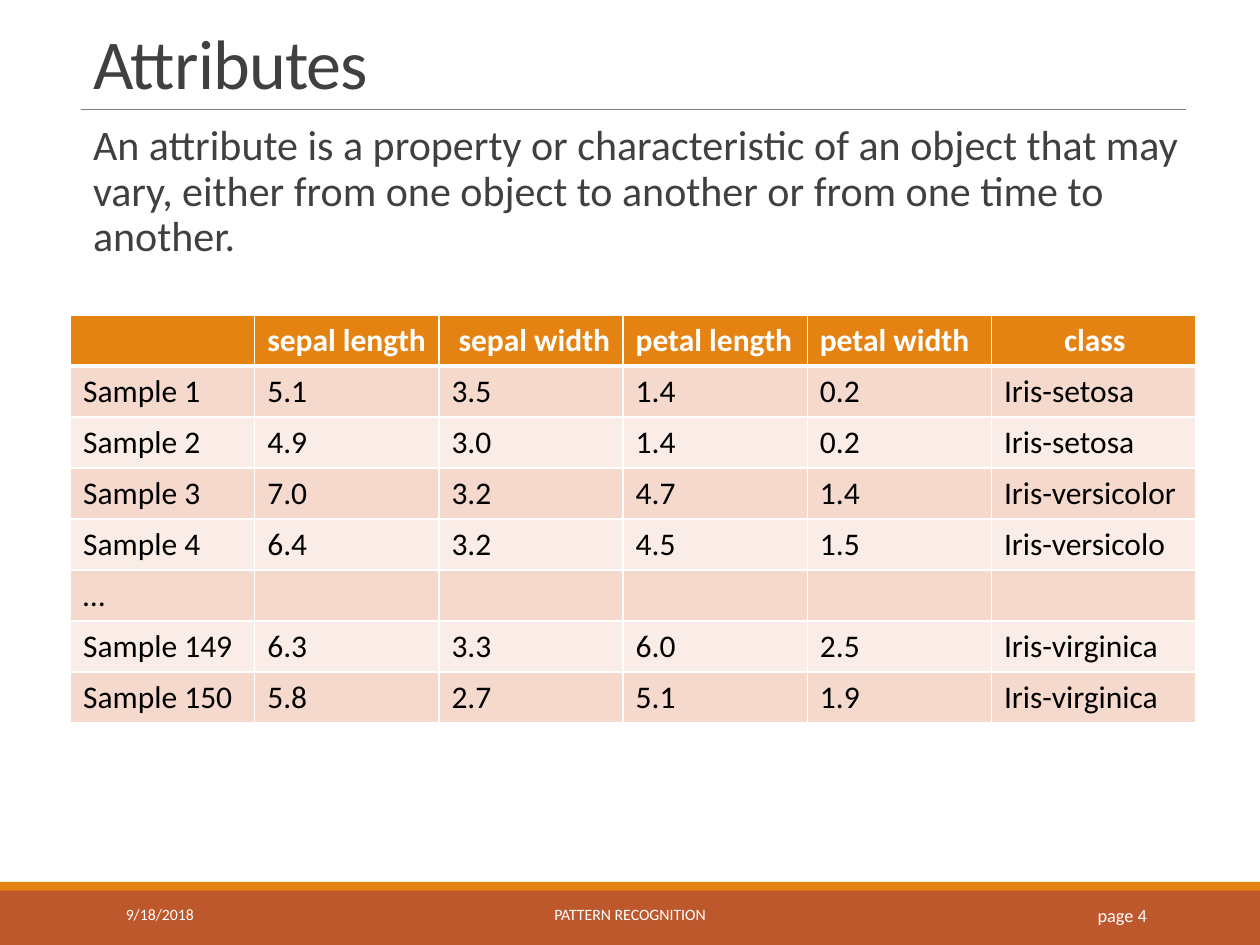
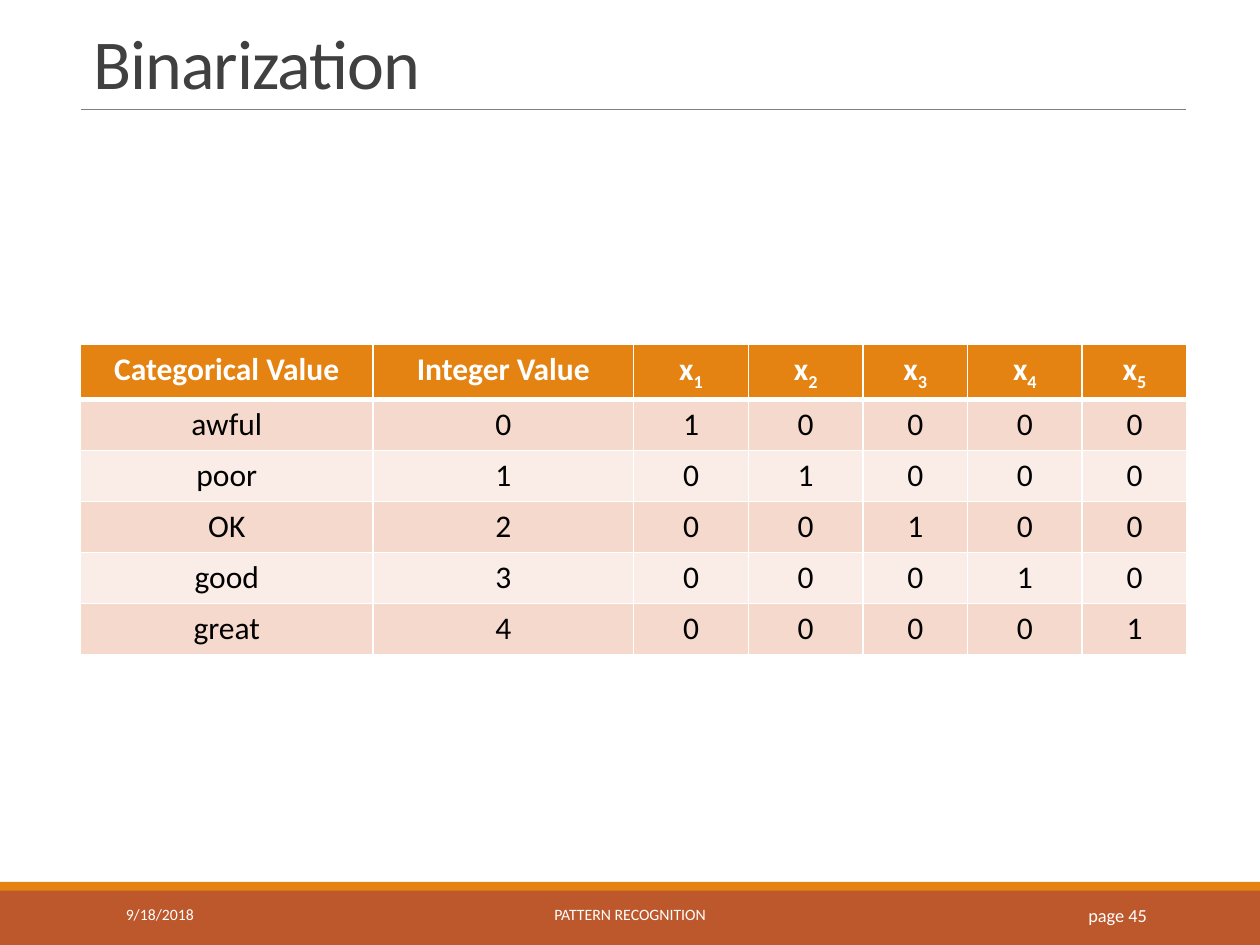
from dataclasses import dataclass

from lxml.etree import SubElement
from pptx import Presentation
from pptx.dml.color import RGBColor
from pptx.enum.shapes import MSO_CONNECTOR, MSO_SHAPE
from pptx.enum.text import MSO_ANCHOR as ANCHOR, PP_ALIGN as ALIGN
from pptx.oxml.ns import qn
from pptx.util import Inches, Pt

FONT = "Calibri"
COLORS = {
    "title": "404040", "rule": "808080", "band": "BD582C", "accent": "E48312",
    "odd_row": "F5D9CC", "even_row": "FAEDE7", "white": "FFFFFF", "black": "000000",
}
LEFT, WIDTH = 0.64, 8.77


@dataclass
class Box:
    left: float
    top: float
    width: float
    height: float

    def lengths(self):
        return [Inches(v) for v in (self.left, self.top, self.width, self.height)]


@dataclass
class Band:
    box: Box
    color: str


@dataclass
class FooterItem:
    box: Box
    text: str
    size: float
    align: ALIGN


@dataclass
class TableSpec:
    box: Box
    col_widths: list[float]
    rows: list[list[str]]
    aligns: dict[str, ALIGN]  # by cell text, for cells that differ
    align: ALIGN = ALIGN.LEFT
    right_inset: float = 0.1


BANDS = [
    Band(Box(0, 7.06, 10, 0.44), "band"),
    Band(Box(0, 7, 10, 0.07), "accent"),
]


def rgb(name: str) -> RGBColor:
    return RGBColor.from_string(COLORS[name])


def write(tf, text: str, *, size: float, color: str, bold: bool = False,
          align: ALIGN = ALIGN.LEFT, line_spacing: float = 1, before: float = 0,
          after: float = 0, tracking: float = 0) -> None:
    """Fill a text frame; what follows an underscore is set as a subscript."""
    p = tf.paragraphs[0]
    p.alignment, p.line_spacing = align, line_spacing
    p.space_before, p.space_after = Pt(before), Pt(after)
    for i, part in enumerate(text.split("_")):
        if not part:
            continue
        r = p.add_run()
        r.text = part
        r.font.name, r.font.size, r.font.bold = FONT, Pt(size), bold
        r.font.color.rgb = rgb(color)
        r_pr = r._r.get_or_add_rPr()
        if tracking:
            r_pr.set("spc", str(int(tracking * 100)))
        if i:
            r_pr.set("baseline", "-25000")


def add_text(slide, box: Box, text: str, *, anchor: ANCHOR = ANCHOR.TOP,
             side_insets: tuple[float, float] = (0.1, 0.1), **style) -> None:
    tf = slide.shapes.add_textbox(*box.lengths()).text_frame
    tf.word_wrap, tf.vertical_anchor = True, anchor
    tf.margin_left, tf.margin_right = (Inches(v) for v in side_insets)
    write(tf, text, **style)


def add_frame(prs, title: str, page: int):
    """Add a slide with the shared rule, bands, title and footer."""
    slide = prs.slides.add_slide(prs.slide_layouts[6])

    # Rule under the title
    rule = slide.shapes.add_connector(
        MSO_CONNECTOR.STRAIGHT, Inches(LEFT), Inches(0.87), Inches(LEFT + WIDTH), Inches(0.87))
    rule.line.color.rgb, rule.line.width = rgb("rule"), Pt(0.5)
    SubElement(rule._element.spPr, qn("a:effectLst"))

    # Bottom bands
    for band in BANDS:
        sp = slide.shapes.add_shape(MSO_SHAPE.RECTANGLE, *band.box.lengths())
        sp.shadow.inherit = False
        sp.fill.solid()
        sp.fill.fore_color.rgb = rgb(band.color)
        sp.line.fill.background()

    # Title and footer
    add_text(slide, Box(LEFT, 0.13, WIDTH, 0.74), title, anchor=ANCHOR.BOTTOM,
             size=40, color="title", line_spacing=0.85, tracking=-0.5)
    footer = [
        FooterItem(Box(0.9, 7.06, 2.03, 0.4), "9/18/2018", 9, ALIGN.LEFT),
        FooterItem(Box(3.02, 7.06, 3.96, 0.4), "PATTERN RECOGNITION", 9, ALIGN.CENTER),
        FooterItem(Box(8.12, 7.06, 1.08, 0.4), f"page {page}", 10.5, ALIGN.RIGHT),
    ]
    for item in footer:
        add_text(slide, item.box, item.text, anchor=ANCHOR.MIDDLE,
                 size=item.size, color="white", align=item.align)
    return slide


def set_borders(cell, top: float, bottom: float) -> None:
    tc_pr = cell._tc.get_or_add_tcPr()
    for side, width in {"L": 1, "R": 1, "T": top, "B": bottom}.items():
        ln = SubElement(tc_pr, qn(f"a:ln{side}"), w=str(Pt(width)))
        SubElement(SubElement(ln, qn("a:solidFill")), qn("a:srgbClr"), val=COLORS["white"])


def add_data_table(slide, spec: TableSpec) -> None:
    n_rows, n_cols = len(spec.rows), len(spec.col_widths)
    # Rows share the height of the box equally
    table = slide.shapes.add_table(n_rows, n_cols, *spec.box.lengths()).table
    for col, width in zip(table.columns, spec.col_widths):
        col.width = Inches(width)
    for i, row in enumerate(spec.rows):
        header = i == 0
        fill = "accent" if header else "odd_row" if i % 2 else "even_row"
        for j, text in enumerate(row):
            cell = table.cell(i, j)
            set_borders(cell, top=3 if i == 1 else 1, bottom=3 if header else 1)
            cell.fill.solid()
            cell.fill.fore_color.rgb = rgb(fill)
            cell.margin_right = Inches(spec.right_inset)
            write(cell.text_frame, text, size=18, bold=header,
                  color="white" if header else "black",
                  align=spec.aligns.get(text, spec.align))


def build_attributes(prs) -> None:
    slide = add_frame(prs, "Attributes", 4)
    add_text(slide, Box(LEFT, 0.94, WIDTH, 5.95),
             "An attribute is a property or characteristic of an object that may vary, "
             "either from one object to another or from one time to another.",
             side_insets=(0.1, 0), size=24, color="title",
             line_spacing=0.9, before=12, after=2)
    rows = [
        ["", "sepal length", " sepal width", "petal length", "petal width", "class"],
        ["Sample 1", "5.1", "3.5", "1.4", "0.2", "Iris-setosa"],
        ["Sample 2", "4.9", "3.0", "1.4", "0.2", "Iris-setosa"],
        ["Sample 3", "7.0", "3.2", "4.7", "1.4", "Iris-versicolor"],
        ["Sample 4", "6.4", "3.2", "4.5", "1.5", "Iris-versicolo"],
        ["…", "", "", "", "", ""],
        ["Sample 149", "6.3", "3.3", "6.0", "2.5", "Iris-virginica"],
        ["Sample 150", "5.8", "2.7", "5.1", "1.9", "Iris-virginica"],
    ]
    box = Box(0.56, 2.5, 8.93, 3.24)
    class_width = 1.62
    value_width = (box.width - class_width) / 5
    add_data_table(slide, TableSpec(box, [value_width] * 5 + [class_width], rows,
                                    {"class": ALIGN.CENTER}, right_inset=0.08))


def build_binarization(prs) -> None:
    slide = add_frame(prs, "Binarization", 45)
    categories = ["awful", "poor", "OK", "good", "great"]
    n = len(categories)
    rows = [["Categorical Value", "Integer Value"] + [f"x_{k + 1}" for k in range(n)]]
    # One column per category, with a single 1 on the diagonal
    for value, name in enumerate(categories):
        rows.append([name, str(value)] + [str(int(k == value)) for k in range(n)])
    add_data_table(slide, TableSpec(Box(LEFT, 2.73, WIDTH, 2.43),
                                    [2.32, 2.07, 0.91, 0.91, 0.83, 0.91, 0.83],
                                    rows, {}, ALIGN.CENTER))


def main() -> None:
    prs = Presentation()
    prs.slide_width, prs.slide_height = Inches(10), Inches(7.5)
    build_attributes(prs)
    build_binarization(prs)
    prs.save("out.pptx")


if __name__ == "__main__":
    main()
